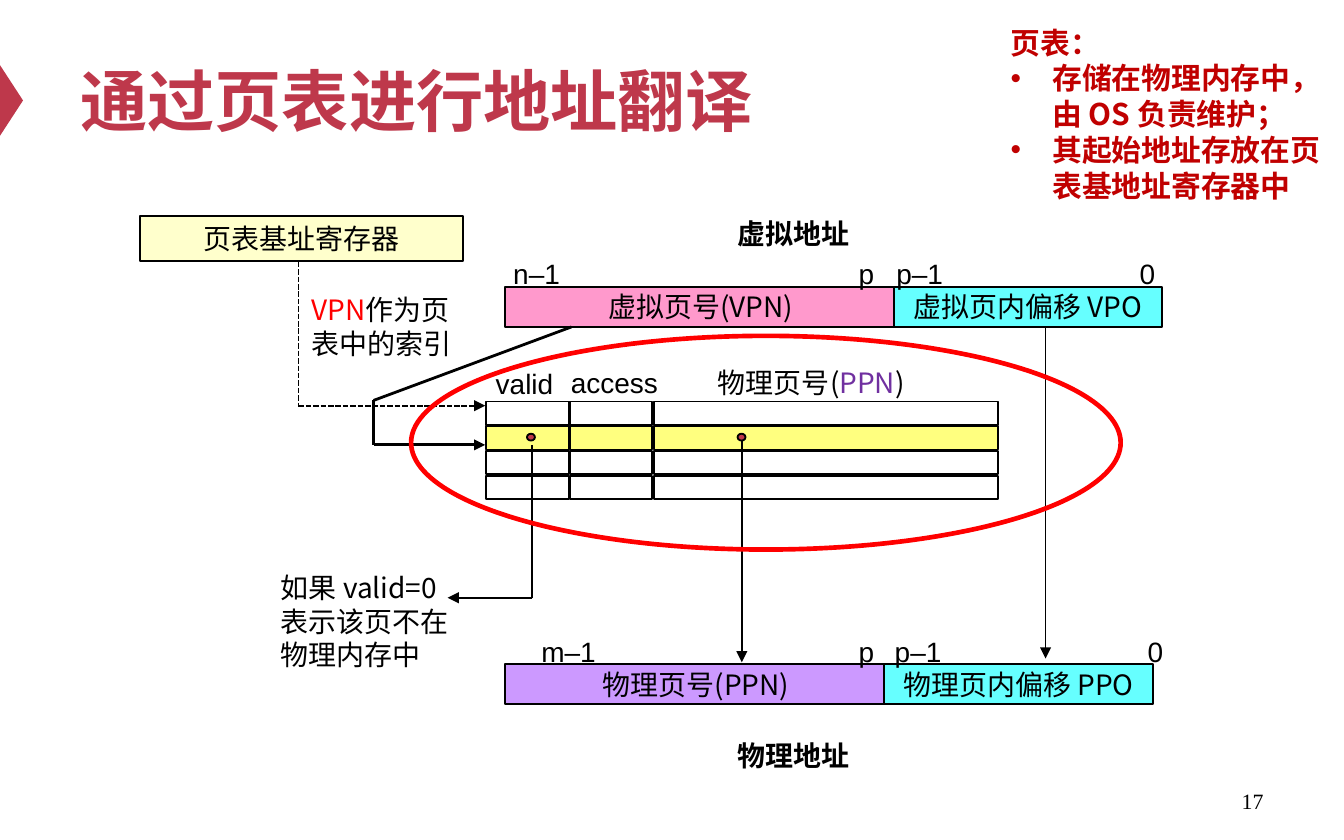
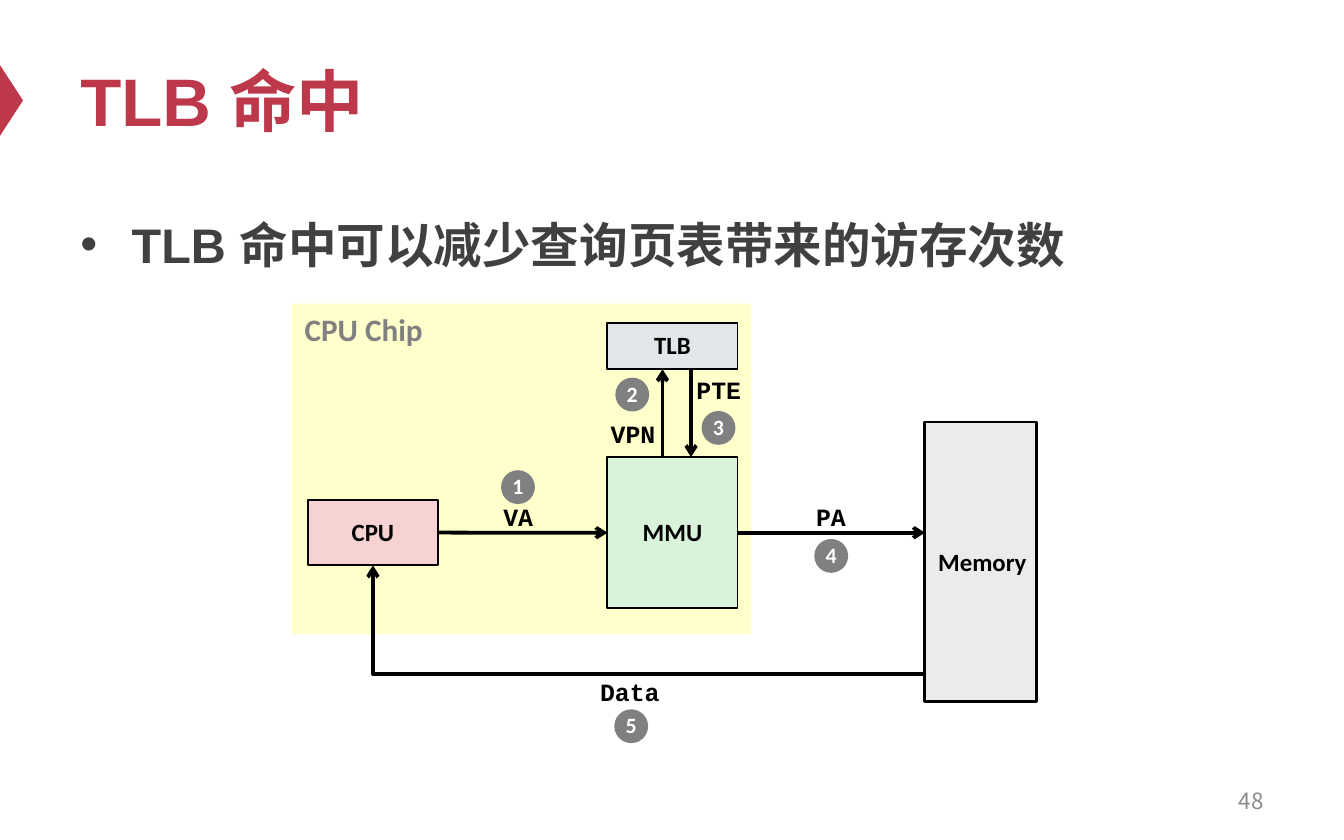
from dataclasses import dataclass

from lxml.etree import SubElement
from pptx import Presentation
from pptx.dml.color import RGBColor
from pptx.enum.dml import MSO_LINE
from pptx.enum.shapes import MSO_CONNECTOR, MSO_SHAPE
from pptx.enum.text import MSO_ANCHOR, PP_ALIGN
from pptx.oxml.ns import qn
from pptx.util import Cm, Pt


@dataclass(frozen=True)
class Theme:
    crimson: str = "BE384B"
    black: str = "000000"
    white: str = "FFFFFF"
    red: str = "FF0000"
    dark_red: str = "C00000"
    purple: str = "7030A0"
    charcoal: str = "404040"
    gray: str = "808080"
    page_gray: str = "8C8C8C"
    cream: str = "FFFFCC"
    yellow: str = "FFFF00"
    pink: str = "FF99CC"
    cyan: str = "66FFFF"
    violet: str = "CC99FF"
    mint: str = "DBF2DA"
    rose: str = "F6D2D2"
    silver: str = "EBEBEB"
    steel: str = "E1E7E9"
    cjk: str = "Noto Sans CJK SC"
    sans: str = "Arial"
    label: str = "Calibri"
    mono: str = "Courier New"
    serif: str = "Times New Roman"
    title_size: float = 36
    body_size: float = 26
    chip_size: float = 16.7
    note_size: float = 16
    diagram_size: float = 15
    block_size: float = 13.3
    page_size: float = 12
    step_size: float = 11.7


T = Theme()
SLIM = (0.2, 0.1)
ROOMY = (0.25, 0.13)


def add_box(slide, at, paragraphs=(), preset=None, fill=None, edge=None, edge_width=1,
            font=T.cjk, size=T.diagram_size, color=T.black, bold=False,
            align=PP_ALIGN.LEFT, anchor=MSO_ANCHOR.TOP, inset=SLIM, wrap=False,
            spacing=None, bullet_indent=0, first_bullet=0):
    """Add a text box, or a preset shape; a paragraph is a string or (text, colour) runs."""
    place = [Cm(length) for length in at]
    if preset is None:
        box = slide.shapes.add_textbox(*place)
    else:
        box = slide.shapes.add_shape(preset, *place)
        box.shadow.inherit = False
        if fill:
            box.fill.solid()
            box.fill.fore_color.rgb = RGBColor.from_string(fill)
        else:
            box.fill.background()
        if edge:
            box.line.color.rgb = RGBColor.from_string(edge)
            box.line.width = Pt(edge_width)
        else:
            box.line.fill.background()
    frame = box.text_frame
    frame.word_wrap = wrap
    frame.vertical_anchor = anchor
    frame.margin_left = frame.margin_right = Cm(inset[0])
    frame.margin_top = frame.margin_bottom = Cm(inset[1])
    for index, content in enumerate(paragraphs):
        paragraph = frame.add_paragraph() if index else frame.paragraphs[0]
        paragraph.alignment = align
        if spacing:
            paragraph.line_spacing = spacing
        if bullet_indent and index >= first_bullet:
            properties = paragraph._p.get_or_add_pPr()
            properties.set("marL", str(Cm(bullet_indent)))
            properties.set("indent", str(-Cm(bullet_indent)))
            SubElement(properties, qn("a:buFont"), typeface=T.sans)
            SubElement(properties, qn("a:buChar"), char="•")
        for text, run_color in [(content, color)] if isinstance(content, str) else content:
            run = paragraph.add_run()
            run.text = text
            run.font.size = Pt(size)
            run.font.bold = bold
            run.font.color.rgb = RGBColor.from_string(run_color)
            run.font.name = font
            SubElement(run._r.get_or_add_rPr(), qn("a:ea"), typeface=T.cjk)
    return box


def add_line(slide, start, end, width=1, head=None, dash=None, kind=MSO_CONNECTOR.STRAIGHT):
    line = slide.shapes.add_connector(kind, *[Cm(length) for length in (*start, *end)])
    line.line.color.rgb = RGBColor.from_string(T.black)
    line.line.width = Pt(width)
    if dash:
        line.line.dash_style = dash
    if head:
        SubElement(line.line._get_or_add_ln(), qn("a:tailEnd"), type=head)
    SubElement(line._element.spPr, qn("a:effectLst"))
    return line


prs = Presentation()
prs.slide_width, prs.slide_height = Cm(25.4), Cm(15.88)

# Shared frame: marker, title and page number
slides = []
for title, title_font, page, page_font, page_size, page_color in [
    ("通过页表进行地址翻译", T.cjk, "17", T.serif, T.step_size, T.black),
    ("TLB 命中", T.sans, "48", T.cjk, T.page_size, T.page_gray),
]:
    slide = prs.slides.add_slide(prs.slide_layouts[6])
    marker = add_box(slide, (-0.46, 1.68, 1.35, 0.44),
                     preset=MSO_SHAPE.ISOSCELES_TRIANGLE, fill=T.crimson)
    marker.rotation = 90
    add_box(slide, (1.27, 0.64, 22.86, 2.49), [title], font=title_font, size=T.title_size,
            color=T.crimson, bold=True, anchor=MSO_ANCHOR.MIDDLE, inset=ROOMY, wrap=True)
    add_box(slide, (18.21, 14.71, 5.92, 0.84), [page], font=page_font, size=page_size,
            color=page_color, align=PP_ALIGN.RIGHT, anchor=MSO_ANCHOR.MIDDLE,
            inset=ROOMY, wrap=True)
    slides.append(slide)
translation, tlb_hit = slides

# Address translation: addresses and register
for at, text, fill in [
    ((9.55, 5.42, 7.39, 0.76), "虚拟页号(VPN)", T.pink),
    ((16.89, 5.42, 5.08, 0.76), "虚拟页内偏移 VPO", T.cyan),
    ((9.55, 12.55, 7.21, 0.76), "物理页号(PPN)", T.violet),
    ((16.71, 12.55, 5.08, 0.76), "物理页内偏移 PPO", T.cyan),
    ((2.64, 4.09, 6.12, 0.84), "页表基址寄存器", T.cream),
]:
    add_box(translation, at, [text], preset=MSO_SHAPE.RECTANGLE, fill=fill, edge=T.black,
            align=PP_ALIGN.CENTER, anchor=MSO_ANCHOR.MIDDLE)
for top, text in [(3.99, "虚拟地址"), (13.87, "物理地址")]:
    add_box(translation, (13.74, top, 2.57, 0.84), [text], bold=True)

for left, top, width, text in [
    (9.5, 4.75, 1.32, "n–1"), (16.03, 4.75, 0.71, "p"),
    (16.74, 4.75, 1.32, "p–1"), (21.34, 4.75, 0.71, "0"),
    (10.03, 11.89, 1.47, "m–1"), (16.03, 11.89, 0.71, "p"),
    (16.71, 11.89, 1.32, "p–1"), (21.49, 11.89, 0.71, "0"),
    (9.17, 6.83, 1.52, "valid"), (10.59, 6.81, 2.08, "access"),
]:
    add_box(translation, (left, top, width, 0.84), [text], font=T.sans)

# Page table, with the indexed row in translucent yellow
for left, width in [(9.19, 1.56), (10.77, 1.56), (12.36, 6.5)]:
    for row in range(4):
        indexed = row == 1
        entry = add_box(translation, (left, 7.59 + 0.47 * row, width, 0.44),
                        preset=MSO_SHAPE.RECTANGLE,
                        fill=T.yellow if indexed else T.white, edge=T.black)
        if indexed:
            yellow = entry._element.spPr.find(qn("a:solidFill"))[0]
            SubElement(yellow, qn("a:alpha"), val="50000")
add_box(translation, (13.37, 6.81, 5, 0.84),
        [[("物理页号(", T.black), ("PPN", T.purple), (")", T.black)]])
for left in (9.96, 13.94):
    add_box(translation, (left, 8.2, 0.15, 0.13), preset=MSO_SHAPE.OVAL,
            fill=T.crimson, edge=T.black)

for start, end, width, head, dash in [
    ((19.76, 6.2), (19.76, 12.45), 1, "triangle", None),
    ((14.02, 8.33), (14.02, 12.52), 1, "triangle", None),
    ((10.06, 8.41), (10.06, 11.3), 1, None, None),
    ((10.06, 11.3), (8.46, 11.3), 1, "triangle", None),
    ((5.64, 4.95), (5.64, 7.67), 1, None, MSO_LINE.SQUARE_DOT),
    ((5.64, 7.67), (9.17, 7.67), 1, "triangle", MSO_LINE.SQUARE_DOT),
    ((10.8, 6.18), (7.06, 7.57), 1.5, None, None),
    ((7.06, 7.57), (7.06, 8.41), 1.5, None, None),
    ((7.06, 8.41), (9.17, 8.41), 1.5, "triangle", None),
]:
    add_line(translation, start, end, width, head, dash)

add_box(translation, (5.11, 10.69, 3.71, 2.13), ["如果 valid=0", "表示该页不在", "物理内存中"])
add_box(translation, (5.64, 5.41, 3.35, 1.55),
        [[("VPN", T.red), ("作为页表中的索引", T.black)]], inset=ROOMY, wrap=True)
add_box(translation, (18.85, 0.33, 6.55, 3.68),
        ["页表：", "存储在物理内存中，由 OS 负责维护；", "其起始地址存放在页表基地址寄存器中"],
        size=T.note_size, color=T.dark_red, bold=True, inset=ROOMY, wrap=True,
        bullet_indent=0.79, first_bullet=1)
add_box(translation, (7.77, 6.35, 13.41, 4.04), preset=MSO_SHAPE.OVAL,
        edge=T.red, edge_width=2.5)

# TLB hit: statement, chip and blocks
add_box(tlb_hit, (1.27, 3.71, 22.86, 10.46), ["TLB 命中可以减少查询页表带来的访存次数"],
        font=T.sans, size=T.body_size, color=T.charcoal, bold=True, inset=ROOMY, wrap=True,
        spacing=1.2, bullet_indent=0.97)
add_box(tlb_hit, (5.51, 5.74, 8.69, 6.25), preset=MSO_SHAPE.RECTANGLE, fill=T.cream)
add_box(tlb_hit, (5.51, 5.74, 2.77, 0.97), ["CPU Chip"], font=T.label, size=T.chip_size,
        color=T.gray, bold=True, inset=ROOMY)

blocks = {}
for name, at, fill in [
    ("CPU", (5.82, 9.45, 2.46, 1.24), T.rose),
    ("MMU", (11.48, 8.64, 2.46, 2.86), T.mint),
    ("TLB", (11.48, 6.1, 2.46, 0.88), T.steel),
]:
    blocks[name] = add_box(tlb_hit, at, [name], preset=MSO_SHAPE.RECTANGLE, fill=fill,
                           edge=T.black, font=T.label, size=T.block_size, bold=True,
                           align=PP_ALIGN.CENTER, anchor=MSO_ANCHOR.MIDDLE, spacing=0.98)
add_box(tlb_hit, (17.48, 7.98, 2.11, 5.28), ["Memory"], preset=MSO_SHAPE.RECTANGLE,
        fill=T.silver, edge=T.black, edge_width=1.5, font=T.label, size=T.block_size,
        bold=True, anchor=MSO_ANCHOR.MIDDLE, inset=ROOMY)

# Transfers between blocks
va_arrow = add_line(tlb_hit, (8.28, 10.07), (11.48, 10.07), 2, "arrow")
va_arrow.begin_connect(blocks["CPU"], 3)
va_arrow.end_connect(blocks["MMU"], 1)
pa_arrow = add_line(tlb_hit, (13.94, 10.07), (17.48, 10.07), 2, "arrow")
pa_arrow.begin_connect(blocks["MMU"], 3)
add_line(tlb_hit, (12.52, 8.64), (12.52, 6.98), 2, "arrow")
add_line(tlb_hit, (13.06, 6.98), (13.06, 8.64), 2, "arrow")
data_arrow = add_line(tlb_hit, (17.48, 12.75), (7.05, 10.69), 2, "arrow",
                      kind=MSO_CONNECTOR.ELBOW)
data_arrow._element.spPr.find(qn("a:prstGeom")).set("prst", "bentConnector2")

for left, top, width, text in [
    (9.3, 9.4, 0.99, "VA"), (11.33, 7.82, 1.27, "VPN"), (12.95, 6.99, 1.27, "PTE"),
    (15.21, 9.4, 0.99, "PA"), (11.13, 12.7, 1.55, "Data"),
]:
    add_box(tlb_hit, (left, top, width, 0.79), [text], font=T.mono, size=T.block_size,
            bold=True, align=PP_ALIGN.CENTER, anchor=MSO_ANCHOR.MIDDLE, spacing=0.98)
step_places = [(9.47, 8.89), (11.63, 7.14), (13.26, 7.77), (15.39, 10.19), (11.61, 13.41)]
for step, (left, top) in enumerate(step_places, start=1):
    add_box(tlb_hit, (left, top, 0.64, 0.64), [str(step)], preset=MSO_SHAPE.OVAL, fill=T.gray,
            font=T.label, size=T.step_size, color=T.white, bold=True,
            align=PP_ALIGN.CENTER, anchor=MSO_ANCHOR.MIDDLE, spacing=0.98)

prs.save("out.pptx")
